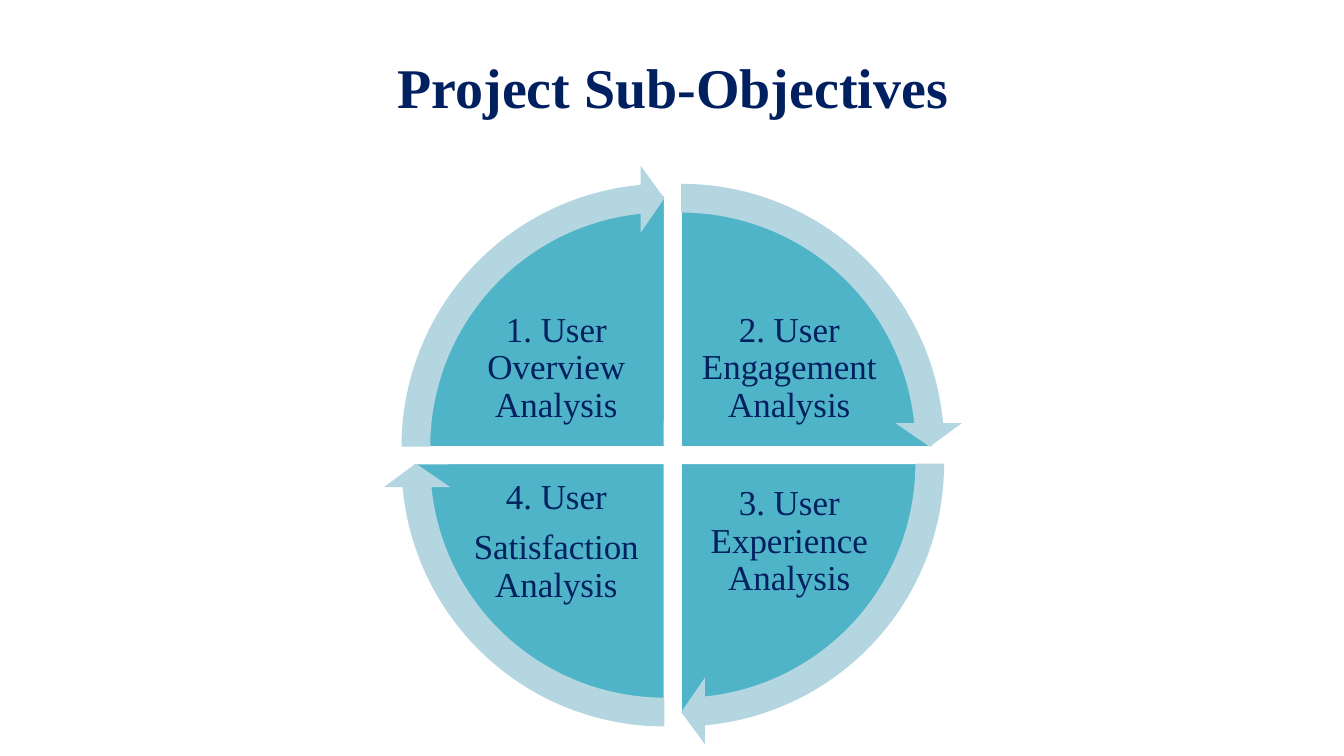
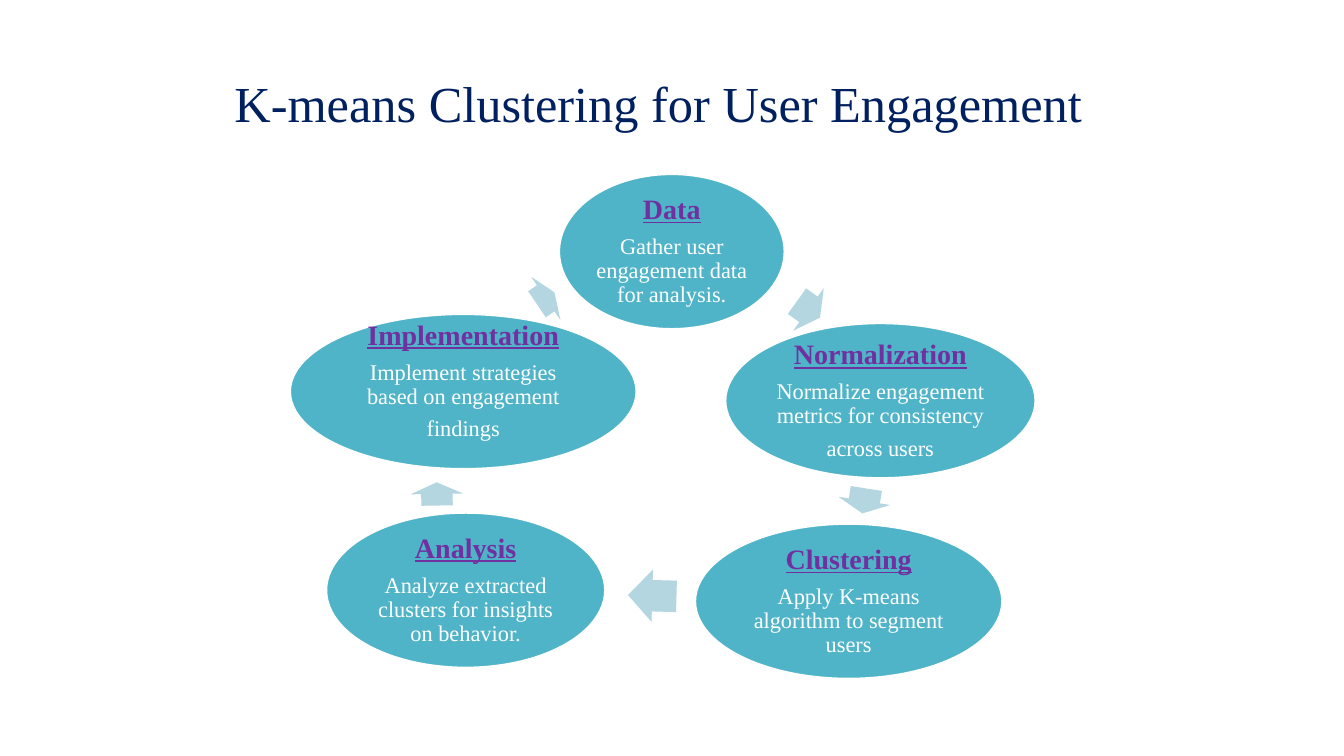
import pptx
import pptx.dml.color
import pptx.enum.shapes
import pptx.enum.text
import pptx.util

Pt = pptx.util.Pt
RGBColor = pptx.dml.color.RGBColor
SHAPE = pptx.enum.shapes.MSO_SHAPE
CENTER = pptx.enum.text.PP_ALIGN.CENTER

# Shared style
FONT = "Times New Roman"
NAVY = RGBColor(0x00, 0x20, 0x60)
TEAL = RGBColor(0x50, 0xB4, 0xC8)
PALE_TEAL = RGBColor(0xB3, 0xD6, 0xE0)
PURPLE = RGBColor(0x70, 0x30, 0xA0)
WHITE = RGBColor(0xFF, 0xFF, 0xFF)
INSET = 2
BODY_SPACING = 0.9
SPACE_AFTER = 0.35  # share of the text size

# Slide 1: paragraphs, start angle of the quarter, side of the centre (x, y)
OBJECTIVES = [
    (["2. User Engagement Analysis"], 270, 1, -1),
    (["3. User Experience Analysis"], 0, 1, 1),
    (["4. User", "Satisfaction Analysis"], 90, -1, 1),
    (["1. User Overview Analysis"], 180, -1, -1),
]
WHEEL_X, WHEEL_Y = 480.6, 325.1
HALF_GAP = 6
PIE_SIZE, RING_SIZE = 358.6, 402.5
LABEL_WIDTH, LABEL_HEIGHT = 132.5, 98
LABEL_DX, LABEL_DY = 83.2, 61.9
RING_SWEEP = 84.54

# Slide 2: heading, paragraphs, (left, top, width), extra bottom inset
STEPS = [
    ("Data", ["Gather user engagement data for analysis."],
     (399.6, 124.6, 160.6), 0),
    ("Normalization", ["Normalize engagement metrics for consistency", "across users"],
     (518.4, 231.1, 221), 0),
    ("Clustering", ["Apply K-means algorithm to segment users"],
     (496.8, 374.4, 218.9), 0),
    ("Analysis", ["Analyze extracted clusters for insights on behavior."],
     (233.3, 366.5, 198.7), 0),
    ("Implementation", ["Implement strategies based on engagement", "findings"],
     (207.4, 224.6, 247), 15),
]
STEP_HEIGHT = 110.2
# Arrow after each step: left, top, width, rotation
STEP_ARROWS = [
    (567.4, 202.3, 20.2, 35.7),
    (608.4, 339.1, 18, 99),
    (448.6, 406.8, 34.6, 181.6),
    (303.8, 334.1, 16.6, 269.1),
    (382.3, 194.4, 15.1, 326),
]
ARROW_HEIGHT = 37.4


def add_text(frame, text, size, color=NAVY, bold=False, underline=False,
             spacing=BODY_SPACING, after=SPACE_AFTER):
    """Append one centred paragraph, using the empty first one if there is one."""
    paragraph = frame.paragraphs[0]
    if paragraph.runs:
        paragraph = frame.add_paragraph()
    paragraph.alignment = CENTER
    paragraph.line_spacing = spacing
    paragraph.space_after = Pt(size * after)
    run = paragraph.add_run()
    run.text = text
    run.font.name = FONT
    run.font.size = Pt(size)
    run.font.bold = bold
    run.font.underline = underline
    run.font.color.rgb = color


def add_title(slide, text, center, top, size, bold=False):
    width = 736
    box = slide.shapes.add_textbox(Pt(center - width / 2), Pt(top), Pt(width), Pt(size * 1.4))
    box.text_frame.word_wrap = True
    add_text(box.text_frame, text, size, bold=bold, spacing=1.0, after=0)


def add_figure(slide, kind, left, top, width, height, fill, outlined=False, adjust=()):
    figure = slide.shapes.add_shape(kind, Pt(left), Pt(top), Pt(width), Pt(height))
    figure.shadow.inherit = False
    figure.fill.solid()
    figure.fill.fore_color.rgb = fill
    if outlined:
        figure.line.color.rgb = WHITE
        figure.line.width = Pt(1)
    else:
        figure.line.fill.background()
    for index, value in enumerate(adjust):
        figure.adjustments[index] = value
    return figure


def centered_body(shape, extra_bottom=0):
    frame = shape.text_frame
    frame.word_wrap = True
    frame.vertical_anchor = pptx.enum.text.MSO_ANCHOR.MIDDLE
    frame.margin_left = frame.margin_right = frame.margin_top = Pt(INSET)
    frame.margin_bottom = Pt(INSET + extra_bottom)
    return frame


def angle(degrees):
    """Degrees as an adjustment value."""
    return degrees % 360 * 0.6


def build_objectives(slide):
    add_title(slide, "Project Sub-Objectives", WHEEL_X, 33.8, 40, bold=True)

    # Quarters with their labels
    for paragraphs, start, side_x, side_y in OBJECTIVES:
        x, y = WHEEL_X + side_x * HALF_GAP, WHEEL_Y + side_y * HALF_GAP
        add_figure(slide, SHAPE.PIE, x - PIE_SIZE / 2, y - PIE_SIZE / 2, PIE_SIZE, PIE_SIZE,
                   TEAL, outlined=True, adjust=(angle(start), angle(start + 90)))
        label = slide.shapes.add_textbox(
            Pt(WHEEL_X + side_x * LABEL_DX - LABEL_WIDTH / 2),
            Pt(WHEEL_Y + side_y * LABEL_DY - LABEL_HEIGHT / 2),
            Pt(LABEL_WIDTH), Pt(LABEL_HEIGHT))
        frame = centered_body(label)
        for text in paragraphs:
            add_text(frame, text, 25)

    # Ring of arrows on top
    for _, start, side_x, side_y in OBJECTIVES:
        x, y = WHEEL_X + side_x * HALF_GAP, WHEEL_Y + side_y * HALF_GAP
        add_figure(slide, SHAPE.CIRCULAR_ARROW, x - RING_SIZE / 2, y - RING_SIZE / 2,
                   RING_SIZE, RING_SIZE, PALE_TEAL,
                   adjust=(0.051, 3.275, angle(start + RING_SWEEP), angle(start), 0.059))


def build_clustering(slide):
    add_title(slide, "K-means Clustering for User Engagement", 470.4, 48.2, 36)

    for step, arrow in zip(STEPS, STEP_ARROWS):
        heading, paragraphs, (left, top, width), extra_bottom = step
        ellipse = add_figure(slide, SHAPE.OVAL, left, top, width, STEP_HEIGHT,
                             TEAL, outlined=True)
        frame = centered_body(ellipse, extra_bottom)
        add_text(frame, heading, 20, color=PURPLE, bold=True, underline=True)
        for text in paragraphs:
            add_text(frame, text, 16, color=WHITE)

        left, top, width, rotation = arrow
        pointer = add_figure(slide, SHAPE.RIGHT_ARROW, left, top, width, ARROW_HEIGHT,
                             PALE_TEAL, adjust=(0.6, 0.5))
        pointer.rotation = rotation


def main():
    deck = pptx.Presentation()
    deck.slide_width, deck.slide_height = Pt(960), Pt(540)
    blank = deck.slide_layouts[6]
    for build in (build_objectives, build_clustering):
        build(deck.slides.add_slide(blank))
    deck.save("out.pptx")


if __name__ == "__main__":
    main()
